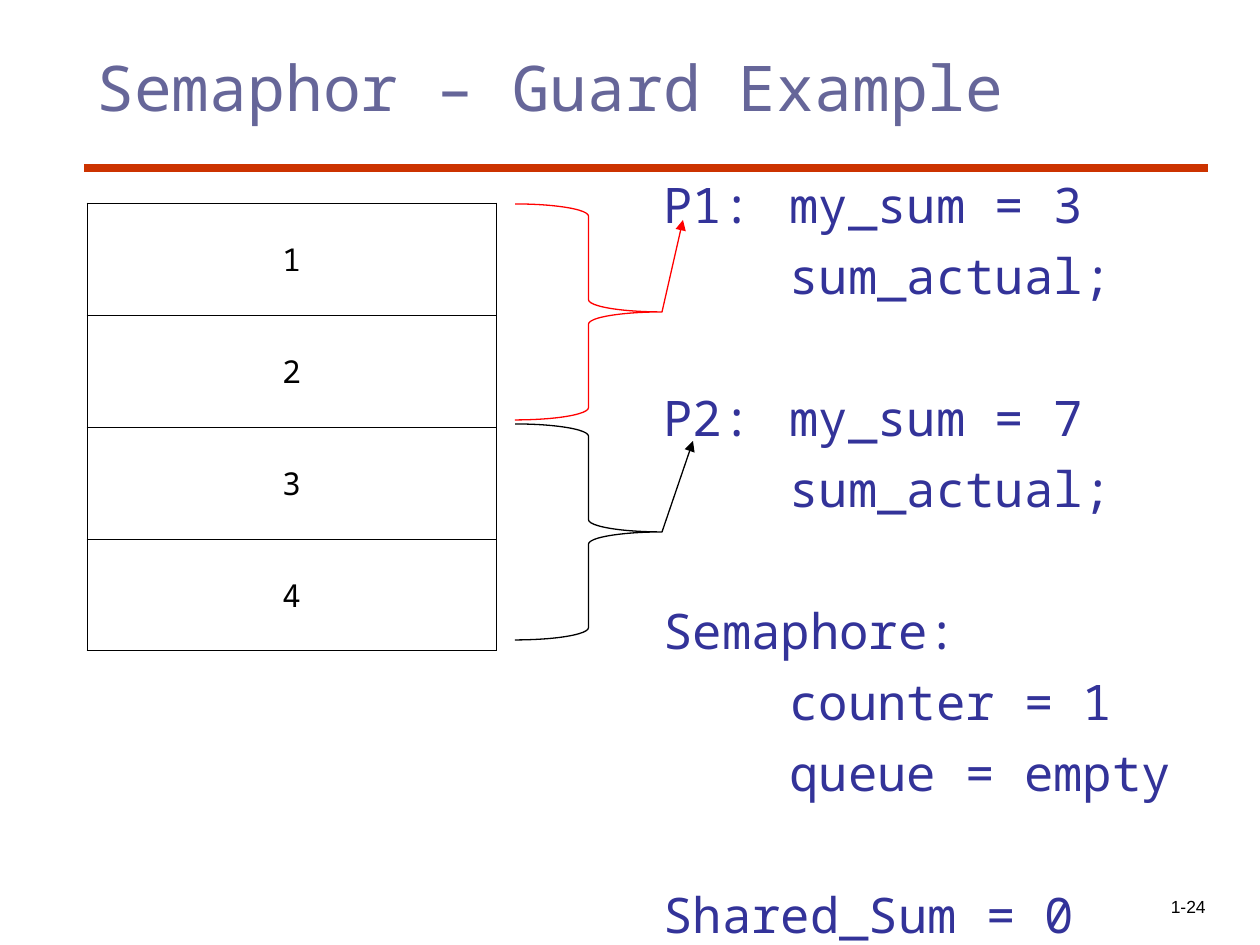
from dataclasses import dataclass

from lxml import etree
from pptx import Presentation
from pptx.dml.color import RGBColor
from pptx.enum.shapes import MSO_CONNECTOR, MSO_SHAPE
from pptx.enum.text import MSO_ANCHOR, PP_ALIGN
from pptx.oxml.ns import qn
from pptx.util import Emu, Pt

STRAIGHT = MSO_CONNECTOR.STRAIGHT
RIGHT_BRACE = MSO_SHAPE.RIGHT_BRACE
TOP, MIDDLE, BOTTOM = MSO_ANCHOR.TOP, MSO_ANCHOR.MIDDLE, MSO_ANCHOR.BOTTOM
LEFT, CENTER, RIGHT = PP_ALIGN.LEFT, PP_ALIGN.CENTER, PP_ALIGN.RIGHT

PX_PER_INCH = 126
COLORS = {
    "title": "666699",
    "rule": "CC3300",
    "code": "333399",
    "first": "FF0000",
    "black": "000000",
}
MONO, SANS = "Noto Sans Mono", "Arial"
LINE_GAP, GROUP_GAP = 7, 47.6
CODE_TAB = 126
CODE_GROUPS = [
    ["P1:\tmy_sum = 3", "\tsum_actual;"],
    ["P2:\tmy_sum = 7", "\tsum_actual;"],
    ["Semaphore:", "\tcounter = 1", "\tqueue = empty"],
    ["Shared_Sum = 0"],
]
CELLS = ["1", "2", "3", "4"]
ROW_HEIGHT = 112


@dataclass
class Area:
    left: int
    top: int
    width: int
    height: int

    def emu(self) -> tuple:
        return px(self.left), px(self.top), px(self.width), px(self.height)


@dataclass
class Style:
    font: str
    size: int
    color: str
    align: PP_ALIGN = LEFT


@dataclass
class Process:
    brace: Area
    arrow_tip: tuple
    color: str


TABLE = Area(87, 203, 409, ROW_HEIGHT * len(CELLS))
PROCESSES = [
    Process(Area(515, 204, 147, 216), (683, 220), "first"),
    Process(Area(515, 424, 147, 216), (693, 441), "black"),
]


def px(length: int) -> Emu:
    return Emu(round(length * 914400 / PX_PER_INCH))


def rgb(name: str) -> RGBColor:
    return RGBColor.from_string(COLORS[name])


def style_frame(frame, style: Style) -> None:
    for para in frame.paragraphs:
        para.alignment = style.align
        for span in para.runs:
            span.font.name = style.font
            span.font.size = Pt(style.size)
            span.font.color.rgb = rgb(style.color)


def add_text(page, area: Area, text: str, style: Style, anchor=TOP):
    frame = page.shapes.add_textbox(*area.emu()).text_frame
    frame.word_wrap = True
    frame.vertical_anchor = anchor
    frame.text = text
    style_frame(frame, style)
    return frame


def add_line(page, start: tuple, end: tuple, color: str, width: float, arrow: bool = False) -> None:
    line = page.shapes.add_connector(STRAIGHT, *map(px, start + end))
    line.line.color.rgb = rgb(color)
    line.line.width = Pt(width)
    if arrow:
        etree.SubElement(line.line._get_or_add_ln(), qn("a:tailEnd"), type="triangle")
    etree.SubElement(line._element.spPr, qn("a:effectLst"))


def add_code(page) -> None:
    lines = [line for group in CODE_GROUPS for line in group]
    gaps = [
        GROUP_GAP if index == 0 else LINE_GAP
        for group in CODE_GROUPS
        for index in range(len(group))
    ]
    frame = add_text(page, Area(651, 168, 588, 777), "\n".join(lines), Style(MONO, 28, "code"))
    for para in frame.paragraphs:
        tabs = etree.SubElement(para._p.get_or_add_pPr(), qn("a:tabLst"))
        etree.SubElement(tabs, qn("a:tab"), pos=str(px(CODE_TAB)), algn="l")
    for para, gap in zip(frame.paragraphs[1:], gaps[1:]):
        para.space_before = Pt(gap)


def add_borders(cell) -> None:
    properties = cell._tc.get_or_add_tcPr()
    for side in ("lnL", "lnR", "lnT", "lnB"):
        border = etree.SubElement(properties, qn(f"a:{side}"), w=str(Pt(0.45)))
        fill = etree.SubElement(border, qn("a:solidFill"))
        etree.SubElement(fill, qn("a:srgbClr"), val=COLORS["black"])


def add_number_table(page) -> None:
    table = page.shapes.add_table(len(CELLS), 1, *TABLE.emu()).table
    table.first_row = False
    table.horz_banding = False
    for index, text in enumerate(CELLS):
        table.rows[index].height = px(ROW_HEIGHT)
        cell = table.cell(index, 0)
        cell.text = text
        cell.vertical_anchor = MIDDLE
        style_frame(cell.text_frame, Style(MONO, 18, "black", CENTER))
        add_borders(cell)
        cell.fill.background()


def add_process(page, process: Process) -> None:
    area = process.brace
    brace = page.shapes.add_shape(RIGHT_BRACE, *area.emu())
    brace.shadow.inherit = False
    brace.fill.background()
    brace.line.color.rgb = rgb(process.color)
    brace.line.width = Pt(0.75)
    point = (area.left + area.width, area.top + area.height // 2)
    add_line(page, point, process.arrow_tip, process.color, 0.75, arrow=True)


def main() -> None:
    deck = Presentation()
    deck.slide_width, deck.slide_height = px(1260), px(945)
    page = deck.slides.add_slide(deck.slide_layouts[6])
    add_line(page, (84, 168), (1208, 168), "rule", 4.5)
    add_text(page, Area(84, 42, 1124, 157), "Semaphor – Guard Example", Style(MONO, 36, "title"))
    add_code(page)
    add_text(page, Area(956, 860, 262, 63), "1-24", Style(SANS, 10, "black", RIGHT), BOTTOM)
    add_number_table(page)
    for process in PROCESSES:
        add_process(page, process)
    deck.save("out.pptx")


if __name__ == "__main__":
    main()
